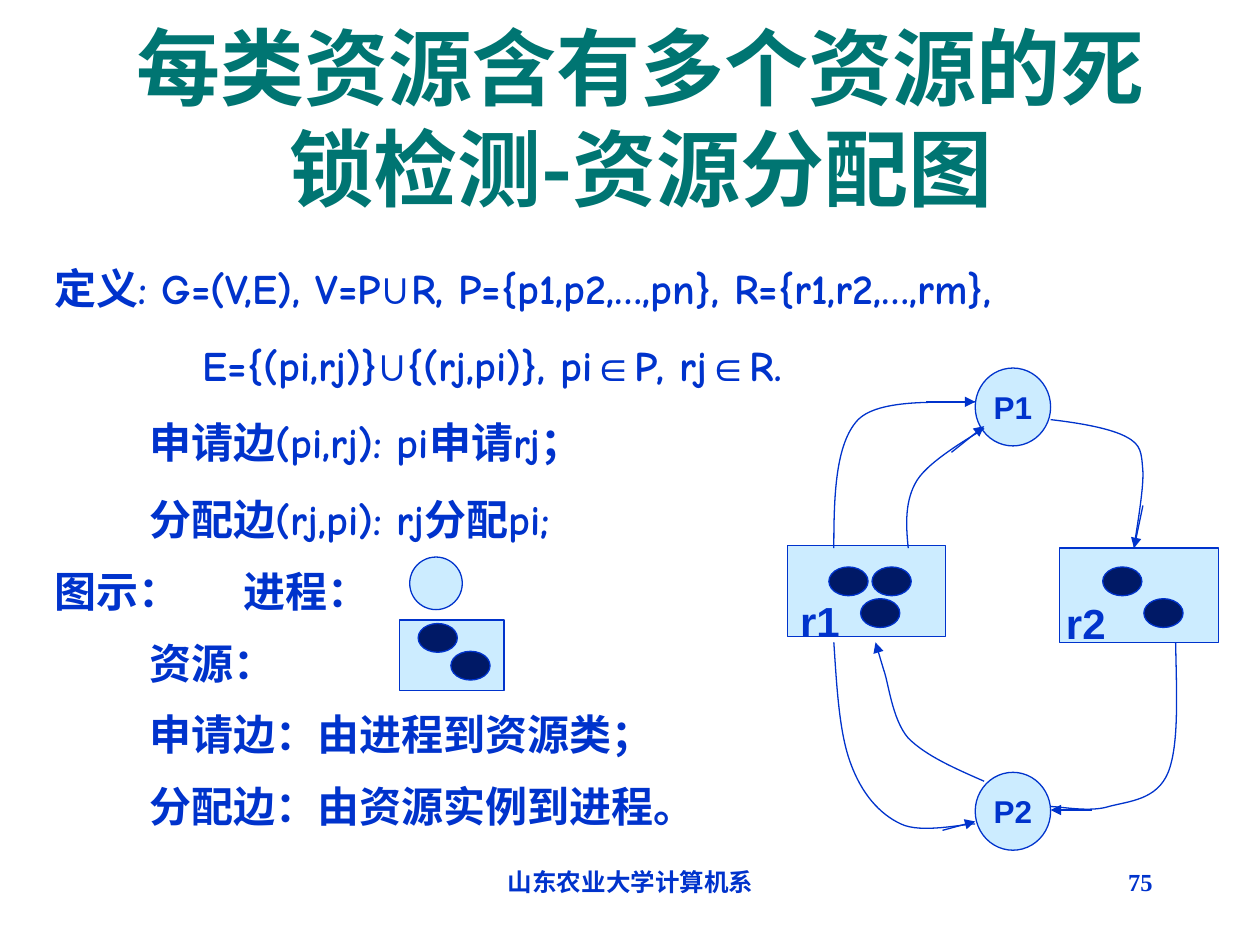
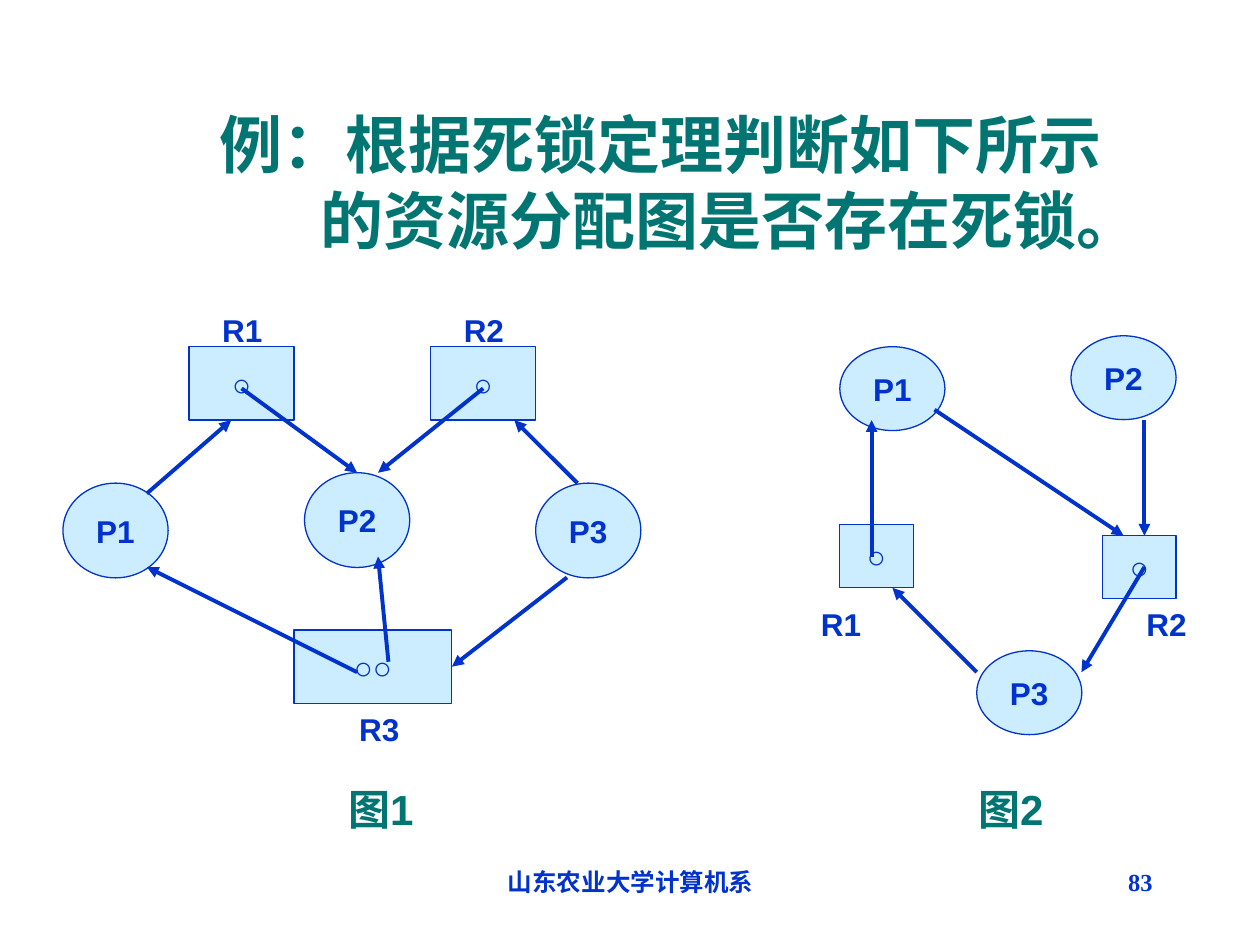
from typing import NamedTuple, Optional

from lxml import etree
from pptx import Presentation
from pptx.dml.color import RGBColor
from pptx.enum.shapes import MSO_CONNECTOR, MSO_SHAPE
from pptx.enum.text import MSO_ANCHOR, MSO_AUTO_SIZE, PP_ALIGN
from pptx.oxml.ns import qn
from pptx.util import Cm, Pt

RECT, OVAL = MSO_SHAPE.RECTANGLE, MSO_SHAPE.OVAL
STRAIGHT = MSO_CONNECTOR.STRAIGHT
LEFT, CENTER, RIGHT = PP_ALIGN.LEFT, PP_ALIGN.CENTER, PP_ALIGN.RIGHT
TOP, MIDDLE = MSO_ANCHOR.TOP, MSO_ANCHOR.MIDDLE
NO_AUTOSIZE = MSO_AUTO_SIZE.NONE

BLUE, TEAL, PALE, NAVY = "0033CC", "007572", "CCECFF", "001966"
CJK, SANS, SERIF, COMIC = "Noto Sans CJK SC", "Arial", "Times New Roman", "Comic Neue"
THIN, THICK = 0.75, 2.25
CJK_LEADING = 1.2
TITLE_AND_BODY, TITLE_ONLY = 1, 5

Point = tuple[float, float]


class Box(NamedTuple):
    """Left, top, width and height in centimetres."""
    x: float
    y: float
    w: float
    h: float


class Node(NamedTuple):
    kind: int
    box: Box
    text: str = ""


class Arrow(NamedTuple):
    """A straight arrow; target and site name the node side it is joined to."""
    start: Point
    end: Point
    target: Optional[int] = None
    site: int = 0


class Edge(NamedTuple):
    """A curve through cubic Bezier points, and the short arrow that ends it."""
    curve: list[Point]
    arrow: Arrow


class BodyLine(NamedTuple):
    text: str
    indent: float = 0
    leading: float = 29


def color(code: str) -> RGBColor:
    return RGBColor.from_string(code)


def lengths(*values: float) -> list[Cm]:
    return [Cm(v) for v in values]


def add_run(p, text: str, size: float, font: str = SANS, code: str = BLUE, cjk: bool = False):
    r = p.add_run()
    r.text = text
    r.font.size, r.font.name, r.font.bold = Pt(size), font, True
    r.font.color.rgb = color(code)
    if cjk:
        r.font._element.find(qn("a:latin")).addnext(
            etree.Element(qn("a:ea"), typeface=CJK))


def set_frame(tf, wrap: bool = True, anchor: int = TOP):
    tf.word_wrap, tf.auto_size, tf.vertical_anchor = wrap, NO_AUTOSIZE, anchor
    tf.margin_left = tf.margin_right = Cm(0.25)
    tf.margin_top = tf.margin_bottom = Cm(0.13)


def add_text(slide, box: Box, text: str, size: float, font: str = SANS,
             code: str = BLUE, align: int = LEFT, cjk: bool = False):
    tf = slide.shapes.add_textbox(*lengths(*box)).text_frame
    set_frame(tf)
    p = tf.paragraphs[0]
    p.alignment = align
    if cjk:
        p.line_spacing = Pt(size * CJK_LEADING)
    add_run(p, text, size, font, code, cjk)


def place(sp, box: Box):
    sp.left, sp.top, sp.width, sp.height = lengths(*box)


def set_title(slide, box: Box, lines: list[tuple[str, float]], size: float,
              font: str, anchor: int):
    """Fill the title with (text, left indent) lines."""
    sp = slide.shapes.title
    place(sp, box)
    tf = sp.text_frame
    set_frame(tf, anchor=anchor)
    for i, (text, indent) in enumerate(lines):
        p = tf.add_paragraph() if i else tf.paragraphs[0]
        p.alignment, p.line_spacing, p.space_before = CENTER, Pt(size * CJK_LEADING), Pt(0)
        p._p.get_or_add_pPr().set("marL", str(Cm(indent)))
        add_run(p, text, size, font, TEAL, cjk=True)


def set_body(slide, box: Box, lines: list[BodyLine], tab: float):
    sp = slide.placeholders[1]
    place(sp, box)
    tf = sp.text_frame
    set_frame(tf)
    for i, line in enumerate(lines):
        p = tf.add_paragraph() if i else tf.paragraphs[0]
        p.alignment, p.line_spacing = LEFT, Pt(line.leading)
        p.space_before = Pt(15 if i else 0)
        pPr = p._p.get_or_add_pPr()
        pPr.set("marL", str(Cm(line.indent)))
        pPr.set("indent", "0")
        etree.SubElement(pPr, qn("a:buNone"))
        if "\t" in line.text:
            tabs = etree.SubElement(pPr, qn("a:tabLst"))
            etree.SubElement(tabs, qn("a:tab"), pos=str(Cm(tab)), algn="l")
        plain = ""
        for ch in line.text:
            if ch in "∪∈":
                add_run(p, plain, 24, COMIC, cjk=True)
                add_run(p, ch, 24)
                plain = ""
            else:
                plain += ch
        add_run(p, plain, 24, COMIC, cjk=True)


def add_footer(slide, number: int):
    add_text(slide, Box(8.69, 17.35, 8.05, 1.27), "山东农业大学计算机系", 14, SERIF,
             align=CENTER, cjk=True)
    add_text(slide, Box(18.21, 17.35, 5.28, 1.27), str(number), 14, SERIF, align=RIGHT)


def add_node(slide, node: Node, fill: str = PALE):
    sp = slide.shapes.add_shape(node.kind, *lengths(*node.box))
    sp.shadow.inherit = False
    sp.fill.solid()
    sp.fill.fore_color.rgb = color(fill)
    sp.line.color.rgb, sp.line.width = color(BLUE), Pt(THIN)
    if node.text:
        set_frame(sp.text_frame, wrap=False, anchor=MIDDLE)
        p = sp.text_frame.paragraphs[0]
        p.alignment = CENTER
        add_run(p, node.text, 18)
    return sp


def add_resource(slide, box: Box, dots: list[Point], name: str = "", inset: float = 0):
    """A resource class: a rectangle with one dark dot for each instance."""
    sp = add_node(slide, Node(RECT, box))
    if name:
        tf = sp.text_frame
        set_frame(tf)
        tf.margin_left, tf.margin_top, tf.margin_bottom = lengths(inset, 1, 0)
        tf.paragraphs[0].alignment = LEFT
        add_run(tf.paragraphs[0], name, 24)
    for x, y in dots:
        add_node(slide, Node(OVAL, Box(x, y, 0.79, 0.58)), NAVY)


def add_arrow(slide, arrow: Arrow, width: float, nodes=()):
    c = slide.shapes.add_connector(STRAIGHT, *lengths(*arrow.start, *arrow.end))
    if arrow.target is not None:
        c.end_connect(nodes[arrow.target], arrow.site)
    c.line.color.rgb, c.line.width = color(BLUE), Pt(width)
    spPr = c._element.spPr
    etree.SubElement(spPr.find(qn("a:ln")), qn("a:tailEnd"), type="triangle")
    etree.SubElement(spPr, qn("a:effectLst"))


def add_edge(slide, edge: Edge):
    start, *rest = [lengths(*pt) for pt in edge.curve]
    fb = slide.shapes.build_freeform(*start)
    fb.add_line_segments(rest, close=False)
    sp = fb.convert_to_shape()
    sp.shadow.inherit = False
    sp.fill.background()
    sp.line.color.rgb, sp.line.width = color(BLUE), Pt(THIN)
    steps = list(sp._element.iter(qn("a:lnTo")))
    for first, second, third in zip(steps[::3], steps[1::3], steps[2::3]):
        bezier = etree.Element(qn("a:cubicBezTo"))
        first.addprevious(bezier)
        for step in (first, second, third):
            bezier.append(step[0])
            step.getparent().remove(step)
    add_arrow(slide, edge.arrow, THIN)


DEFINITION = [
    BodyLine("定义: G=(V,E), V=P∪R, P={p1,p2,…,pn}, R={r1,r2,…,rm},"),
    BodyLine("E={(pi,rj)}∪{(rj,pi)}, pi∈P, rj∈R.", 3),
    BodyLine("申请边(pi,rj): pi申请rj；", 1.92),
    BodyLine("分配边(rj,pi): rj分配pi;", 1.92),
    BodyLine("图示：\t进程：", 0, 26),
    BodyLine("资源：", 1.92, 26),
    BodyLine("申请边：由进程到资源类；", 1.92, 26),
    BodyLine("分配边：由资源实例到进程。", 1.92, 26),
]

EDGES = [
    Edge([(19.84, 15.75), (19.25, 15.49), (18.67, 15.24), (18.31, 14.88),
          (17.98, 14.5), (17.91, 13.74), (17.81, 13.49)],
         Arrow((17.81, 13.49), (17.65, 12.95))),
    Edge([(16.81, 11.05), (16.81, 10.01), (16.84, 8.94), (17.3, 8.46),
          (17.78, 7.98), (19.28, 8.15), (19.66, 8.1)],
         Arrow((18.67, 8.1), (19.66, 8.1))),
    Edge([(18.31, 11.05), (18.26, 10.57), (18.24, 10.08), (18.49, 9.68),
          (18.75, 9.27), (19.61, 8.79), (19.84, 8.64)],
         Arrow((19.18, 9.12), (19.84, 8.59))),
    Edge([(21.18, 8.46), (21.79, 8.53), (22.4, 8.64), (22.71, 8.81),
          (23.01, 8.97), (23.01, 9.12), (23.04, 9.5),
          (23.06, 9.88), (22.89, 10.8), (22.86, 11.05)],
         Arrow((23.04, 10.19), (22.86, 11.05))),
    Edge([(23.7, 12.95), (23.72, 14), (23.77, 15.01), (23.55, 15.57),
          (23.32, 16.13), (22.76, 16.15), (22.35, 16.26),
          (21.97, 16.38), (21.39, 16.26), (21.18, 16.26)],
         Arrow((22.02, 16.33), (21.18, 16.33))),
    Edge([(16.81, 12.95), (16.87, 13.87), (16.92, 14.78), (17.15, 15.39),
          (17.37, 16), (17.73, 16.41), (18.16, 16.61),
          (18.57, 16.81), (19.41, 16.61), (19.66, 16.61)],
         Arrow((19, 16.74), (19.66, 16.56))),
]

FIGURE_1 = (
    [Node(RECT, Box(3.81, 6.99, 2.12, 1.48), "○"),
     Node(RECT, Box(8.68, 6.99, 2.12, 1.48), "○"),
     Node(RECT, Box(5.93, 12.7, 3.18, 1.48), "○○"),
     Node(OVAL, Box(1.27, 9.74, 2.12, 1.91), "P1"),
     Node(OVAL, Box(6.14, 9.53, 2.12, 1.91), "P2"),
     Node(OVAL, Box(10.8, 9.74, 2.12, 1.91), "P3")],
    [Arrow((4.87, 7.83), (7.2, 9.53), target=4, site=0),
     Arrow((9.74, 7.83), (7.62, 9.53)),
     Arrow((7.2, 13.55), (2.96, 11.43)),
     Arrow((7.83, 13.34), (7.62, 11.22)),
     Arrow((2.96, 9.95), (4.66, 8.47)),
     Arrow((11.64, 9.74), (10.37, 8.47)),
     Arrow((11.43, 11.64), (9.11, 13.44), target=2, site=3)],
    [(4.23, 6.14), (9.1, 6.14), (6.99, 14.18)], "图1", 6.77)

FIGURE_2 = (
    [Node(OVAL, Box(16.93, 6.99, 2.12, 1.69), "P1"),
     Node(OVAL, Box(19.69, 13.12, 2.12, 1.69), "P3"),
     Node(OVAL, Box(21.59, 6.77, 2.12, 1.69), "P2"),
     Node(RECT, Box(16.93, 10.58, 1.48, 1.27), "○"),
     Node(RECT, Box(22.23, 10.8, 1.48, 1.27), "○")],
    [Arrow((18.84, 8.26), (22.65, 10.8)),
     Arrow((23.07, 8.47), (23.07, 10.8)),
     Arrow((19.69, 13.55), (17.99, 11.85)),
     Arrow((17.57, 11.22), (17.57, 8.47)),
     Arrow((23.07, 11.43), (21.8, 13.55))],
    [(16.3, 12.07), (22.86, 12.07)], "图2", 19.47)


def build_definition(prs):
    slide = prs.slides.add_slide(prs.slide_layouts[TITLE_AND_BODY])
    set_title(slide, Box(2.12, 0.18, 21.59, 4.32),
              [("每类资源含有多个资源的死锁检测-资源分配图", 0)], 48, CJK, MIDDLE)
    set_body(slide, Box(0.84, 5.16, 24.56, 13.13), DEFINITION, tab=3.12)
    add_footer(slide, 75)
    add_node(slide, Node(OVAL, Box(8.26, 11.23, 1.06, 1.06)))
    add_resource(slide, Box(8.05, 12.5, 2.11, 1.42), [(8.43, 12.57), (9.09, 13.13)])
    for name, y in (("P1", 7.42), ("P2", 15.57)):
        add_node(slide, Node(OVAL, Box(19.66, y, 1.52, 1.57), name))
    add_resource(slide, Box(15.88, 11, 3.18, 1.83),
                 [(16.71, 11.43), (17.58, 11.43), (17.35, 12.07)], "r1", 0.25)
    add_resource(slide, Box(21.36, 11.05, 3.2, 1.91),
                 [(22.23, 11.43), (23.06, 12.07)], "r2", 0.13)
    for edge in EDGES:
        add_edge(slide, edge)


def build_example(prs):
    slide = prs.slides.add_slide(prs.slide_layouts[TITLE_ONLY])
    set_title(slide, Box(3.3, 2, 20.02, 4),
              [("例：根据死锁定理判断如下所示", 0), ("的资源分配图是否存在死锁。", 2.82)],
              36, SANS, TOP)
    add_footer(slide, 83)
    for nodes, arrows, labels, caption, caption_x in (FIGURE_1, FIGURE_2):
        shapes = [add_node(slide, node) for node in nodes]
        for arrow in arrows:
            add_arrow(slide, arrow, THICK, shapes)
        for i, (x, y) in enumerate(labels, 1):
            add_text(slide, Box(x, y, 1.48, 1.02), f"R{i}", 18)
        add_text(slide, Box(caption_x, 15.67, 3.6, 1.27), caption, 24, code=TEAL, cjk=True)


def main():
    prs = Presentation()
    prs.slide_width, prs.slide_height = lengths(25.4, 19.05)
    build_definition(prs)
    build_example(prs)
    prs.save("out.pptx")


if __name__ == "__main__":
    main()
